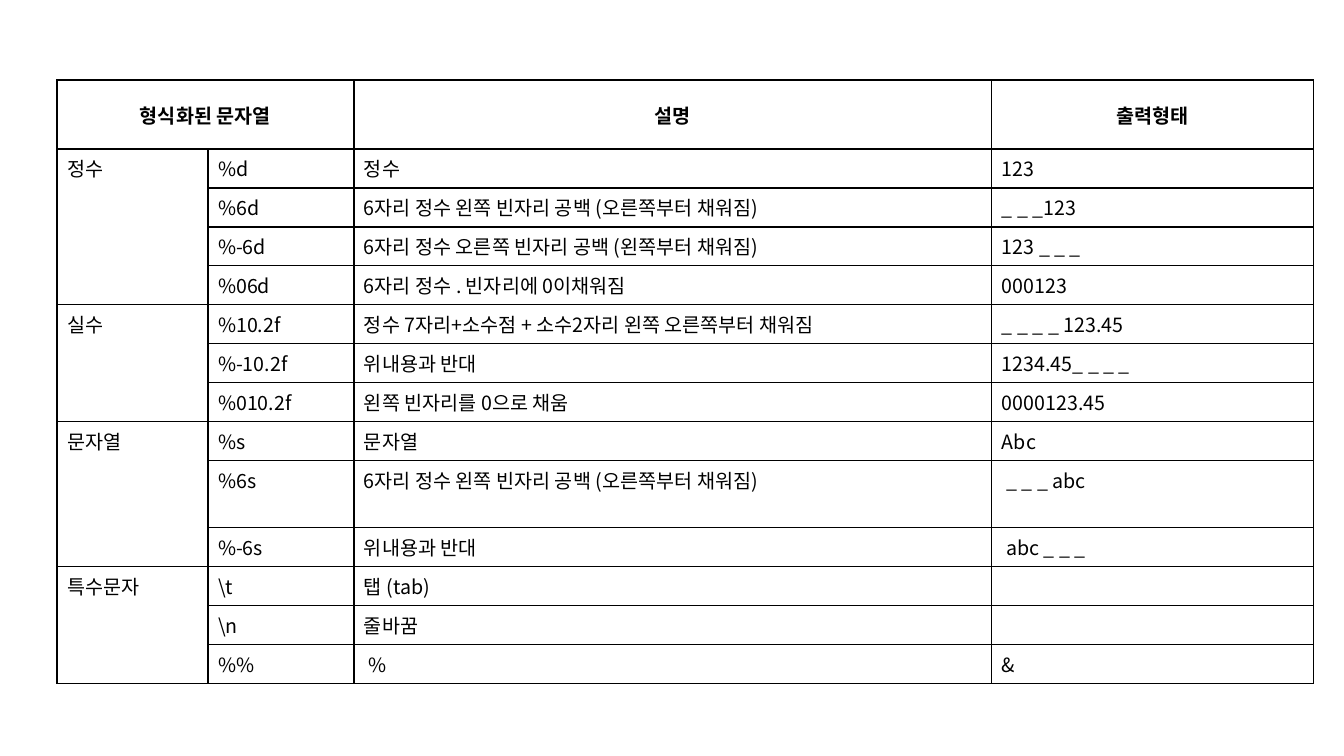
from lxml import etree
from pptx import Presentation
from pptx.dml.color import RGBColor
from pptx.enum.text import MSO_ANCHOR, PP_ALIGN
from pptx.oxml.ns import qn
from pptx.util import Emu, Pt

CENTER = PP_ALIGN.CENTER
LEFT = PP_ALIGN.LEFT
MIDDLE = MSO_ANCHOR.MIDDLE
TOP = MSO_ANCHOR.TOP

BLACK = RGBColor(0x00, 0x00, 0x00)
WHITE = RGBColor(0xFF, 0xFF, 0xFF)
FONT = "Noto Sans CJK KR"
TEXT_SIZE = Pt(14)
BORDER_WIDTH = Pt(1)

COLUMN_WIDTHS = (151, 146, 638, 322)
HEADER_HEIGHT = 69
ROW_HEIGHT = 39
TALL_ROW_HEIGHT = 67
TALL_FORMAT = "%6s"

HEADINGS = ("형식화된 문자열", "", "설명", "출력형태")
FORMAT_GROUPS = (
    ("정수", (
        ("%d", "정수", "123"),
        ("%6d", "6자리 정수 왼쪽 빈자리 공백 (오른쪽부터 채워짐)", "_ _ _123"),
        ("%-6d", "6자리 정수 오른쪽 빈자리 공백 (왼쪽부터 채워짐)", "123 _ _ _"),
        ("%06d", "6자리 정수 . 빈자리에 0이채워짐", "000123"),
    )),
    ("실수", (
        ("%10.2f", "정수 7자리+소수점 + 소수2자리 왼쪽 오른쪽부터 채워짐", "_ _ _ _ 123.45"),
        ("%-10.2f", "위내용과 반대", "1234.45_ _ _ _"),
        ("%010.2f", "왼쪽 빈자리를 0으로 채움", "0000123.45"),
    )),
    ("문자열", (
        ("%s", "문자열", "Abc"),
        ("%6s", "6자리 정수 왼쪽 빈자리 공백 (오른쪽부터 채워짐)", " _ _ _ abc"),
        ("%-6s", "위내용과 반대", " abc _ _ _"),
    )),
    ("특수문자", (
        ("\\t", "탭 (tab)", ""),
        ("\\n", "줄바꿈", ""),
        ("%%", " %", "&"),
    )),
)


def px(length):
    return Emu(round(length * 914400 / 100.8))


def add_borders(cell):
    properties = cell._tc.get_or_add_tcPr()
    for side in ("a:lnL", "a:lnR", "a:lnT", "a:lnB"):
        border = etree.SubElement(properties, qn(side), w=str(BORDER_WIDTH))
        fill = etree.SubElement(border, qn("a:solidFill"))
        etree.SubElement(fill, qn("a:srgbClr"), val=str(BLACK))


def write_text(paragraph, text, bold):
    if not text:
        etree.SubElement(paragraph._p, qn("a:endParaRPr"), sz=str(int(TEXT_SIZE.pt * 100)))
        return
    run = paragraph.add_run()
    run.text = text
    run.font.size = TEXT_SIZE
    run.font.bold = bold
    run.font.color.rgb = BLACK
    run.font.name = FONT
    etree.SubElement(run._r.get_or_add_rPr(), qn("a:ea"), typeface=FONT)


def fill_row(table, row, texts, heading=False):
    for column, text in enumerate(texts):
        cell = table.cell(row, column)
        add_borders(cell)
        cell.fill.solid()
        cell.fill.fore_color.rgb = WHITE
        cell.vertical_anchor = MIDDLE if heading else TOP
        paragraph = cell.text_frame.paragraphs[0]
        paragraph.alignment = CENTER if heading else LEFT
        write_text(paragraph, text, heading)


def add_format_table(slide, left, top):
    row_count = 1 + sum(len(formats) for _, formats in FORMAT_GROUPS)
    height = HEADER_HEIGHT + (row_count - 2) * ROW_HEIGHT + TALL_ROW_HEIGHT
    table = slide.shapes.add_table(
        row_count, len(COLUMN_WIDTHS), px(left), px(top),
        px(sum(COLUMN_WIDTHS)), px(height)).table
    for column, width in zip(table.columns, COLUMN_WIDTHS):
        column.width = px(width)

    table.rows[0].height = px(HEADER_HEIGHT)
    fill_row(table, 0, HEADINGS, heading=True)
    table.cell(0, 0).merge(table.cell(0, 1))

    row = 1
    for group, formats in FORMAT_GROUPS:
        first_row = row
        for code, description, output in formats:
            tall = code == TALL_FORMAT
            table.rows[row].height = px(TALL_ROW_HEIGHT if tall else ROW_HEIGHT)
            label = group if row == first_row else ""
            fill_row(table, row, (label, code, description, output))
            row += 1
        table.cell(first_row, 0).merge(table.cell(row - 1, 0))


def main():
    presentation = Presentation()
    presentation.slide_width = px(1344)
    presentation.slide_height = px(756)
    slide = presentation.slides.add_slide(presentation.slide_layouts[6])
    add_format_table(slide, 57, 80)
    presentation.save("out.pptx")


if __name__ == "__main__":
    main()
